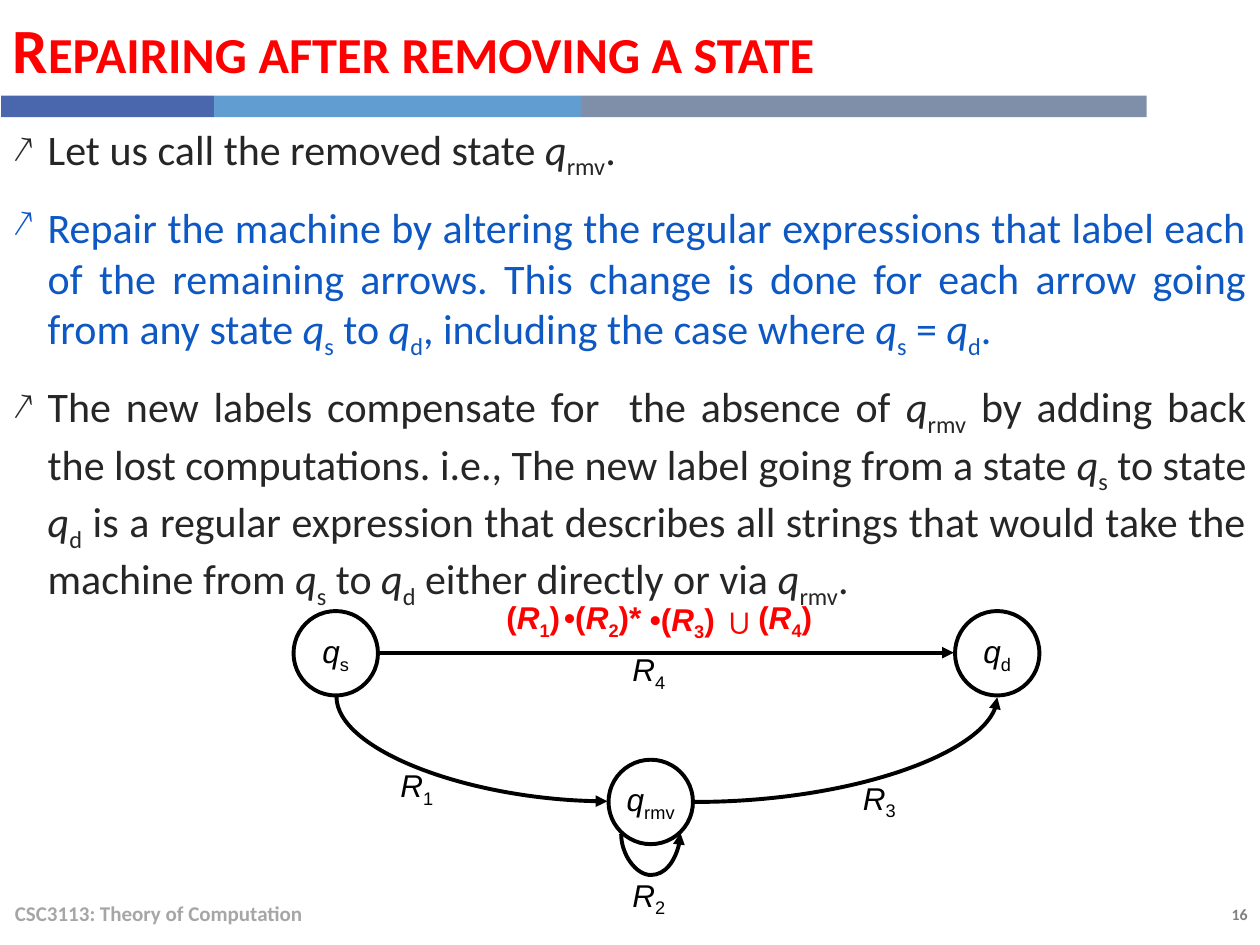
from itertools import cycle
from lxml import etree
from pptx import Presentation
from pptx.dml.color import RGBColor
from pptx.enum import shapes, text
from pptx.oxml.ns import qn
from pptx.util import Inches, Pt

BLACK = RGBColor(0x00, 0x00, 0x00)
RED = RGBColor(0xFF, 0x00, 0x00)
DARK = RGBColor(0x26, 0x26, 0x26)
BLUE = RGBColor(0x0E, 0x58, 0xC4)
GRAY = RGBColor(0x80, 0x80, 0x80)
LIGHT = RGBColor(0xA6, 0xA6, 0xA6)
BARS = [RGBColor(0x4A, 0x66, 0xAC), RGBColor(0x62, 0x9D, 0xD1), RGBColor(0x7F, 0x8F, 0xA9)]
LEFT, CENTER, RIGHT, JUSTIFY = (text.PP_ALIGN.LEFT, text.PP_ALIGN.CENTER,
                                text.PP_ALIGN.RIGHT, text.PP_ALIGN.JUSTIFY)
MIDDLE = text.MSO_ANCHOR.MIDDLE


def write(p, marked, color, size, name="Arial", bold=False, align=LEFT):
    p.alignment = align
    fmt = {"name": name, "size": Pt(size), "bold": bold}
    for part, role in zip(marked.split("|"), cycle(["plain", "symbol", "sub"])):
        if not part:
            continue
        r = p.add_run()
        r.text = part
        for key, value in fmt.items():
            setattr(r.font, key, value)
        r.font.color.rgb = color
        r.font.italic = role == "symbol"
        if role == "sub":
            r.font._element.set("baseline", "-25000")


def add_text(x, y, w, h):
    sp = s.shapes.add_textbox(Inches(x), Inches(y), Inches(w), Inches(h))
    sp.text_frame.word_wrap = True
    return sp.text_frame


prs = Presentation()
prs.slide_width, prs.slide_height = Inches(10), Inches(7.5)
s = prs.slides.add_slide(prs.slide_layouts[5])

title = s.shapes.title
frame = {"left": 0, "top": 0, "width": 9.1, "height": 0.76}
for key, value in frame.items():
    setattr(title, key, Inches(value))
tf = title.text_frame
tf.auto_size = text.MSO_AUTO_SIZE.NONE
tf.vertical_anchor = MIDDLE
p = tf.paragraphs[0]
p.space_before = Pt(6)
write(p, "Repairing after removing a state", RED, 36, "Calibri", True)
p.runs[0].font._element.set("cap", "small")

x = 0.01
for width, color in zip([1.69, 2.91, 4.49], BARS):
    sp = s.shapes.add_shape(shapes.MSO_SHAPE.RECTANGLE, Inches(x), Inches(0.76),
                            Inches(width), Inches(0.17))
    sp.shadow.inherit = False
    sp.fill.solid()
    sp.fill.fore_color.rgb = color
    sp.line.fill.background()
    x += width

points = [
    ("Let us call the removed state |q|rmv|.", DARK),
    ("Repair the machine by altering the regular expressions that label each of the "
     "remaining arrows. This change is done for each arrow going from any state |q|s| to "
     "|q|d|, including the case where |q|s| = |q|d|.", BLUE),
    ("The new labels compensate for  the absence of |q|rmv| by adding back the lost "
     "computations. i.e., The new label going from a state |q|s| to state |q|d| is a regular "
     "expression that describes all strings that would take the machine from |q|s| to |q|d| "
     "either directly or via |q|rmv|.", DARK),
]
tf = add_text(0, 0.93, 9.99, 6.11)
for i, (marked, color) in enumerate(points):
    p = tf.add_paragraph() if i else tf.paragraphs[0]
    p.space_before = p.space_after = Pt(6)
    write(p, marked, color, 24, "Calibri", align=JUSTIFY)
    pPr = p._p.get_or_add_pPr()
    pPr.set("marL", str(Inches(0.28)))
    pPr.set("indent", str(-Inches(0.28)))
    etree.SubElement(pPr, qn("a:buSzPct")).set("val", "90000")
    etree.SubElement(pPr, qn("a:buChar")).set("char", "↗")

for name, x, y in [("s", 2.33, 4.85), ("rmv", 4.83, 6.03), ("d", 7.58, 4.85)]:
    sp = s.shapes.add_shape(shapes.MSO_SHAPE.OVAL, Inches(x), Inches(y), Inches(0.67), Inches(0.67))
    sp.shadow.inherit = False
    sp.fill.background()
    sp.line.color.rgb = BLACK
    sp.line.width = Pt(2.25)
    tf = sp.text_frame
    tf.word_wrap = False
    tf.vertical_anchor = MIDDLE
    write(tf.paragraphs[0], f"|q|{name}", BLACK, 18, align=CENTER)

arrows = [
    ("line", 3.02, 5.18, 4.55, 0, 0, False, "tailEnd"),
    ("curvedConnector2", 3.33, 4.87, 0.83, 2.15, 270, True, "tailEnd"),
    ("curvedConnector2", 6.3, 4.75, 0.83, 2.4, 90, False, "headEnd"),
    ("curvedConnector3", 5.16, 6.38, 0.01, 0.47, 90, False, "headEnd"),
]
for preset, x, y, w, h, angle, flip, end in arrows:
    c = s.shapes.add_connector(shapes.MSO_CONNECTOR.STRAIGHT, Inches(x), Inches(y),
                               Inches(x + w), Inches(y + h))
    c.line.color.rgb = BLACK
    c.line.width = Pt(2.25)
    spPr = c._element.spPr
    xfrm = spPr.find(qn("a:xfrm"))
    xfrm.set("rot", str(angle * 60000))
    if flip:
        xfrm.set("flipH", "1")
    geom = spPr.find(qn("a:prstGeom"))
    geom.set("prst", preset)
    if preset == "curvedConnector3":
        gd = etree.SubElement(geom.find(qn("a:avLst")), qn("a:gd"))
        gd.set("name", "adj1")
        gd.set("fmla", "val 3400000")
    etree.SubElement(spPr.find(qn("a:ln")), qn(f"a:{end}")).set("type", "triangle")
    etree.SubElement(spPr, qn("a:effectLst"))

for number, x, y in [(4, 4.92, 5.11), (2, 4.92, 6.9), (1, 3.08, 6.03), (3, 6.75, 6.13)]:
    tf = add_text(x, y, 0.67, 0.4)
    write(tf.paragraphs[0], f"|R|{number}", BLACK, 18)

new_label = [("(|R|1|)", 3.92, 4.7, 0.92, 18), ("•(|R|2|)*", 4.38, 4.7, 1, 18),
             ("•(|R|3|)", 5.06, 4.71, 0.82, 18), ("(|R|4|)", 5.92, 4.7, 0.67, 18),
             ("∪", 5.67, 4.71, 0.42, 20)]
for marked, x, y, w, size in new_label:
    tf = add_text(x, y, w, 0.4)
    write(tf.paragraphs[0], marked, RED, size, bold=True)

tf = add_text(0.02, 7.05, 6.7, 0.4)
tf.vertical_anchor = MIDDLE
write(tf.paragraphs[0], "CSC3113: Theory of Computation", LIGHT, 12, "Calibri", True)
tf = add_text(8.73, 7.13, 1.27, 0.25)
write(tf.paragraphs[0], "16", GRAY, 9, "Calibri", True, RIGHT)

prs.save("out.pptx")
